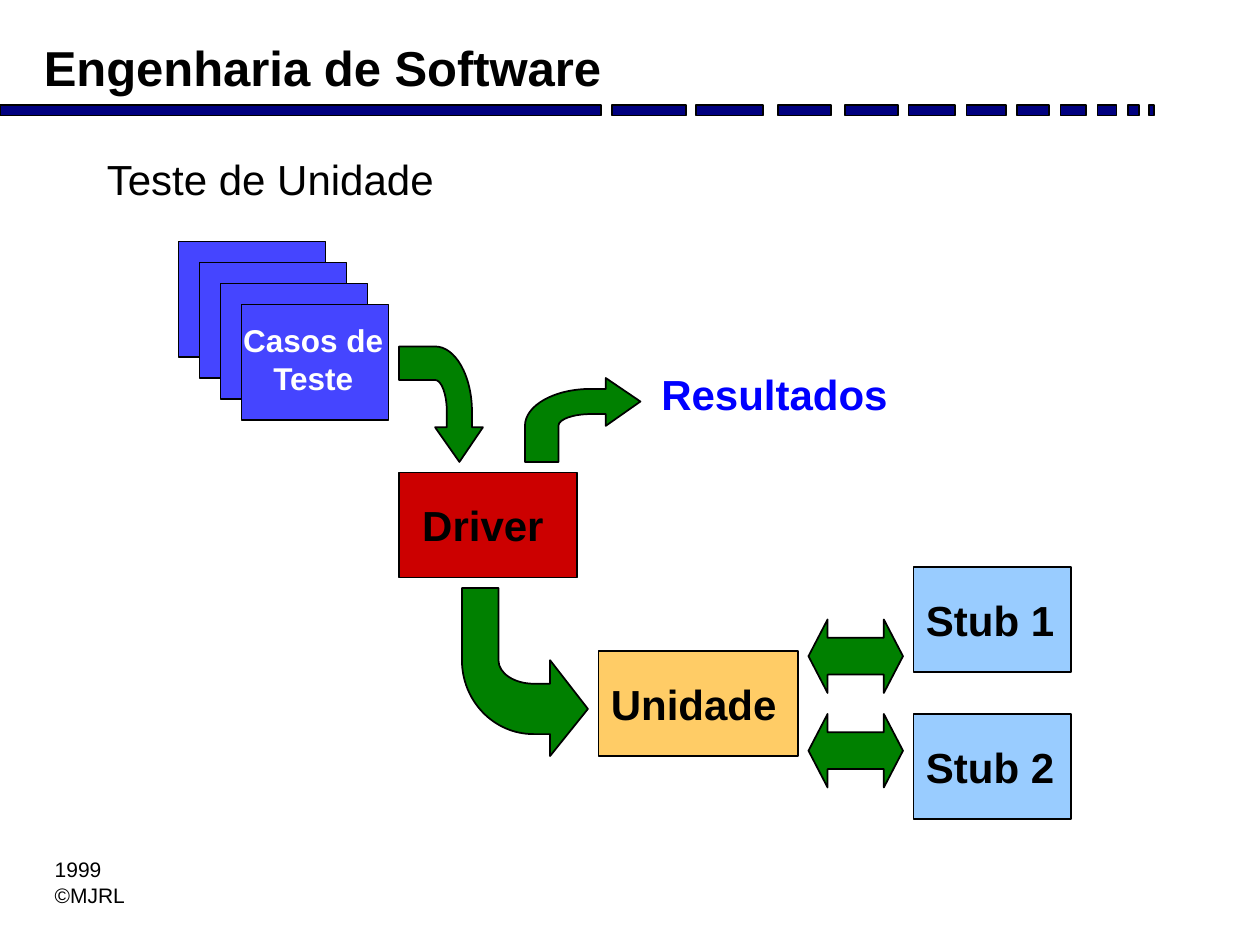
from typing import NamedTuple

import pptx
import pptx.dml.color
import pptx.enum.shapes
import pptx.enum.text
import pptx.oxml
import pptx.oxml.ns
import pptx.util

Pt = pptx.util.Pt
MSO_SHAPE = pptx.enum.shapes.MSO_SHAPE
PP_ALIGN = pptx.enum.text.PP_ALIGN

NAVY, GREEN, BLUE = "000080", "008000", "4545FF"


class Box(NamedTuple):
    left: float
    top: float
    width: float
    height: float


class Block(NamedTuple):
    box: Box
    fill: str
    label: str
    label_box: Box


class BentArrow(NamedTuple):
    origin: tuple[float, float]
    along: tuple[float, float]
    across: tuple[float, float]


BARS = [
    (0, 343.5), (349.7, 42.5), (397.7, 38.3), (444.6, 30.4), (482.8, 30.5),
    (519.2, 26.4), (552.4, 22.5), (581, 18.3), (606, 14.5), (627.2, 10.8),
    (644.5, 6.5), (656.5, 3),
]
BLOCKS = [
    Block(Box(228, 270, 102, 60), "CC0000", "Driver", Box(234.2, 282, 88, 36)),
    Block(Box(342, 372, 114, 60), "FFCC66", "Unidade", Box(342, 384, 113, 36)),
    Block(Box(522, 324, 90, 60), "99CCFF", "Stub 1", Box(522, 336, 90, 36)),
    Block(Box(522, 408, 90, 60), "99CCFF", "Stub 2", Box(522, 420, 90, 36)),
]
BENT_ARROWS = [
    BentArrow((264, 432), (72, 0), (0, -96)),
    BentArrow((276, 198), (0, 66), (-48, 0)),
    BentArrow((300, 216), (66, 0), (0, 48)),
]
OUTLINE = [
    (0, 1), (0, 0.57), (0, 0.33), (0.25, 0.13), (0.57, 0.13),
    (0.7, 0.13), (0.7, 0), (1, 0.28), (0.7, 0.57), (0.7, 0.43),
    (0.57, 0.43), (0.42, 0.43), (0.29, 0.49), (0.29, 0.57), (0.29, 1),
]
CURVE_STARTS = (1, 10)


def rgb(value: str):
    return pptx.dml.color.RGBColor.from_string(value)


def paint(sp, fill: str) -> None:
    sp.shadow.inherit = False
    sp.fill.solid()
    sp.fill.fore_color.rgb = rgb(fill)
    sp.line.color.rgb = rgb("000000")
    sp.line.width = Pt(1)


def add_shape(s, box: Box, fill: str, kind=MSO_SHAPE.RECTANGLE):
    sp = s.shapes.add_shape(kind, *map(Pt, box))
    paint(sp, fill)
    return sp


def add_text(s, text: str, box: Box, *, size: float = 24, color: str = "000000",
             bold: bool = True, align=PP_ALIGN.LEFT) -> None:
    tf = s.shapes.add_textbox(*map(Pt, box)).text_frame
    tf.word_wrap = True
    tf.text = text
    for p in tf.paragraphs:
        p.alignment = align
        for r in p.runs:
            r.font.name = "Arial"
            r.font.size = Pt(size)
            r.font.bold = bold
            r.font.color.rgb = rgb(color)


def curve_segments(sp, starts: tuple[int, ...]) -> None:
    lines = sp.element.xpath(".//a:lnTo")
    for start in starts:
        curve = pptx.oxml.parse_xml(
            f"<a:cubicBezTo {pptx.oxml.ns.nsdecls('a')}/>")
        lines[start].addprevious(curve)
        for line in lines[start:start + 3]:
            curve.append(line[0])
            line.getparent().remove(line)


def add_bent_arrow(s, arrow: BentArrow) -> None:
    pts = [tuple(Pt(o + u * a + v * c)
                 for o, a, c in zip(arrow.origin, arrow.along, arrow.across))
           for u, v in OUTLINE]
    builder = s.shapes.build_freeform(*pts[0])
    builder.add_line_segments(pts[1:], close=True)
    sp = builder.convert_to_shape()
    curve_segments(sp, CURVE_STARTS)
    paint(sp, GREEN)


def main() -> None:
    prs = pptx.Presentation()
    prs.slide_width, prs.slide_height = Pt(720), Pt(540)
    s = prs.slides.add_slide(prs.slide_layouts[6])

    for left, width in BARS:
        add_shape(s, Box(left, 60, width, 6), NAVY)
    add_text(s, "Engenharia de Software", Box(18, 18, 348, 40), size=28)
    add_text(s, "1999\n©MJRL", Box(24.2, 486.2, 58, 36), size=12, bold=False)
    add_text(s, "Teste de Unidade", Box(54, 84, 612, 54), bold=False)

    for block in BLOCKS:
        add_shape(s, block.box, block.fill)
        add_text(s, block.label, block.label_box)

    for top in (354, 408):
        sp = add_shape(s, Box(462, top, 54, 42), GREEN, MSO_SHAPE.LEFT_RIGHT_ARROW)
        sp.adjustments[0], sp.adjustments[1] = 0.5, 0.26

    for i in range(4):
        add_shape(s, Box(102 + 12 * i, 138 + 12 * i, 84, 66), BLUE)
    add_text(s, "Casos de\nTeste", Box(130, 180, 98, 50.4), size=18,
             color="FFFFFF", align=PP_ALIGN.CENTER)

    for arrow in BENT_ARROWS:
        add_bent_arrow(s, arrow)
    add_text(s, "Resultados", Box(370.8, 207, 148, 36), color="0000FF")

    prs.save("out.pptx")


if __name__ == "__main__":
    main()
